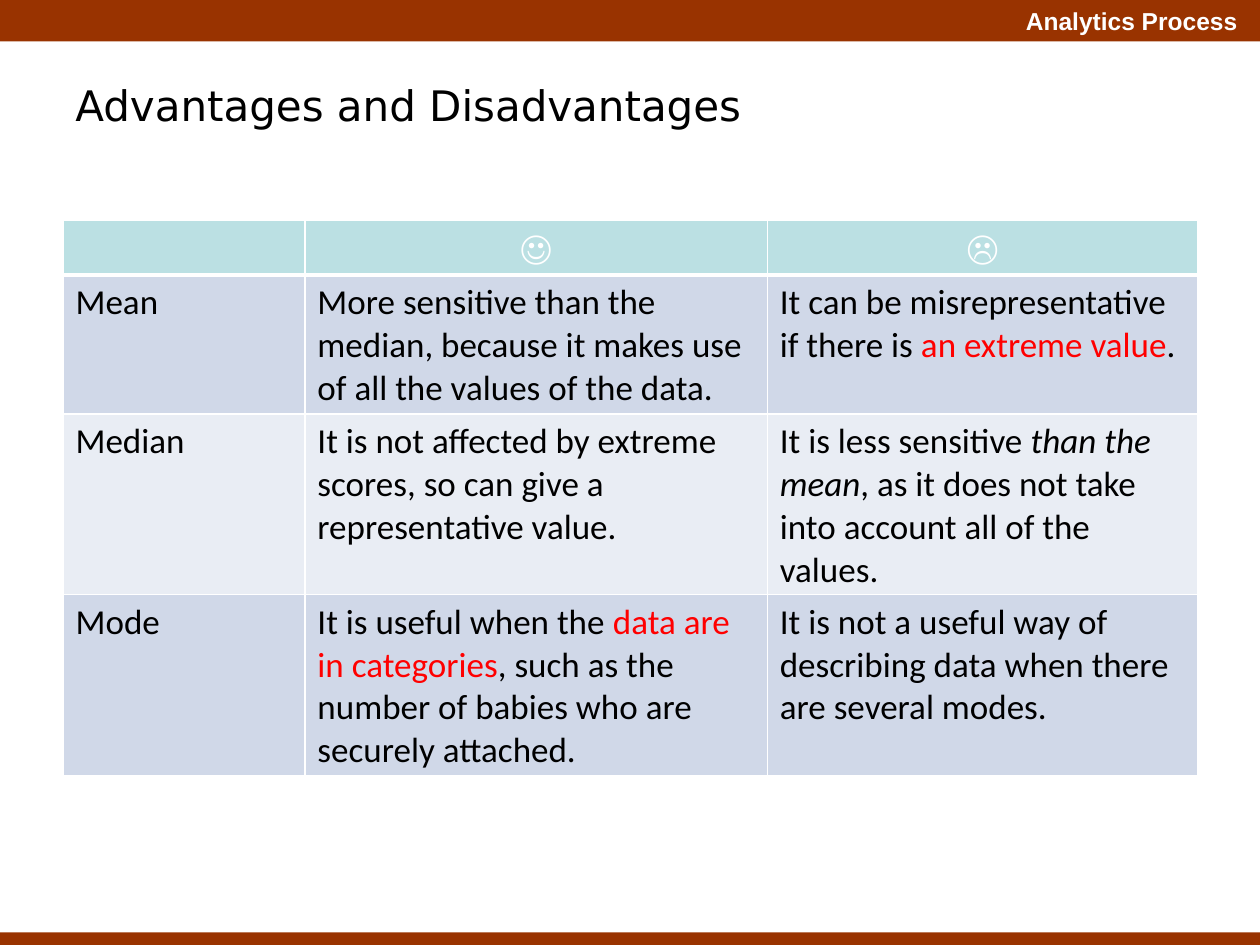
import pptx
import pptx.dml.color
import pptx.enum.shapes
import pptx.enum.text
import pptx.oxml
import pptx.oxml.ns
import pptx.util

RGBColor = pptx.dml.color.RGBColor
ALIGN = pptx.enum.text.PP_ALIGN
Inches = pptx.util.Inches
Pt = pptx.util.Pt

BROWN = RGBColor(0x99, 0x33, 0x00)
WHITE = RGBColor(0xFF, 0xFF, 0xFF)
BLACK = RGBColor(0x00, 0x00, 0x00)
RED = RGBColor(0xFF, 0x00, 0x00)
TEAL = RGBColor(0xBB, 0xE0, 0xE3)
BAND_DARK = RGBColor(0xD0, 0xD8, 0xE8)
BAND_LIGHT = RGBColor(0xE9, 0xED, 0xF4)

WIDTH, HEIGHT = 10, 7.5
MARGIN = 0.5
HEADER_HEIGHT, FOOTER_HEIGHT = 0.33, 0.1
COLUMN_WIDTHS = [1.92, 3.67, 3.42]
ROW_HEIGHTS = [0.43, 1.1, 1.43, 1.43]

SECTION = "Analytics Process"
TITLE = "Advantages and Disadvantages"
ROWS = [
    [[], [("☺", "head")], [("☹", "head")]],
    [
        [("Mean", "plain")],
        [("More sensitive than the median, because it makes use of all the values of the data.", "plain")],
        [("It can be misrepresentative if there is ", "plain"), ("an extreme value", "red"), (".", "plain")],
    ],
    [
        [("Median", "plain")],
        [("It is not affected by extreme scores, so can give a representative value.", "plain")],
        [
            ("It is less sensitive ", "plain"),
            ("than the mean", "italic"),
            (", as it does not take into account all of the values.", "plain"),
        ],
    ],
    [
        [("Mode", "plain")],
        [
            ("It is useful when the ", "plain"),
            ("data are in categories", "red"),
            (", such as the number of babies who are securely attached.", "plain"),
        ],
        [("It is not a useful way of describing data when there are several modes.", "plain")],
    ],
]
COLORS = {"head": WHITE, "plain": BLACK, "red": RED, "italic": BLACK}


def style_font(font, name, size, color, bold=False, italic=False):
    font.name = name
    font.size = Pt(size)
    font.color.rgb = color
    font.bold = bold
    font.italic = italic


def add_bar(page, top, height):
    bar = page.shapes.add_shape(
        pptx.enum.shapes.MSO_SHAPE.RECTANGLE, 0, Inches(top), Inches(WIDTH), Inches(height)
    )
    bar.shadow.inherit = False
    bar.fill.solid()
    bar.fill.fore_color.rgb = BROWN
    bar.line.fill.background()


def add_label(page, area, text, align, **style):
    box = page.shapes.add_textbox(*map(Inches, area))
    box.text_frame.word_wrap = True
    box.text_frame.text = text
    para = box.text_frame.paragraphs[0]
    para.alignment = align
    style_font(para.runs[0].font, **style)


def set_borders(cell, row):
    properties = cell._tc.get_or_add_tcPr()
    widths = {"L": 1, "R": 1, "T": 3 if row == 1 else 1, "B": 3 if row == 0 else 1}
    for position, (side, width) in enumerate(widths.items()):
        border = pptx.oxml.parse_xml(
            f'<a:ln{side} {pptx.oxml.ns.nsdecls("a")} w="{Pt(width)}">'
            f'<a:solidFill><a:srgbClr val="{WHITE}"/></a:solidFill></a:ln{side}>'
        )
        properties.insert(position, border)


def fill_cell(cell, row, spans):
    cell.fill.solid()
    cell.fill.fore_color.rgb = TEAL if row == 0 else BAND_DARK if row % 2 else BAND_LIGHT
    set_borders(cell, row)
    para = cell.text_frame.paragraphs[0]
    para.alignment = ALIGN.CENTER if row == 0 else ALIGN.LEFT
    for text, kind in spans:
        span = para.add_run()
        span.text = text
        style_font(span.font, "Calibri", 20, COLORS[kind], kind == "head", kind == "italic")


def add_comparison(page):
    table = page.shapes.add_table(
        len(ROWS), len(COLUMN_WIDTHS), Inches(MARGIN), Inches(1.75),
        Inches(sum(COLUMN_WIDTHS)), Inches(sum(ROW_HEIGHTS)),
    ).table
    for column, width in zip(table.columns, COLUMN_WIDTHS):
        column.width = Inches(width)
    for row, cells in enumerate(ROWS):
        table.rows[row].height = Inches(ROW_HEIGHTS[row])
        for column, spans in enumerate(cells):
            fill_cell(table.cell(row, column), row, spans)


def main():
    deck = pptx.Presentation()
    deck.slide_width, deck.slide_height = Inches(WIDTH), Inches(HEIGHT)
    page = deck.slides.add_slide(deck.slide_layouts[6])
    add_bar(page, 0, HEADER_HEIGHT)
    add_label(page, (5.74, 0, 4.18, HEADER_HEIGHT), SECTION, ALIGN.RIGHT,
              name="Arial", size=14, color=WHITE, bold=True)
    add_bar(page, HEIGHT - FOOTER_HEIGHT, FOOTER_HEIGHT)
    add_comparison(page)
    add_label(page, (MARGIN, 0.58, 8.17, 0.5), TITLE, ALIGN.LEFT,
              name="DejaVu Sans", size=24, color=BLACK)
    deck.save("out.pptx")


if __name__ == "__main__":
    main()
